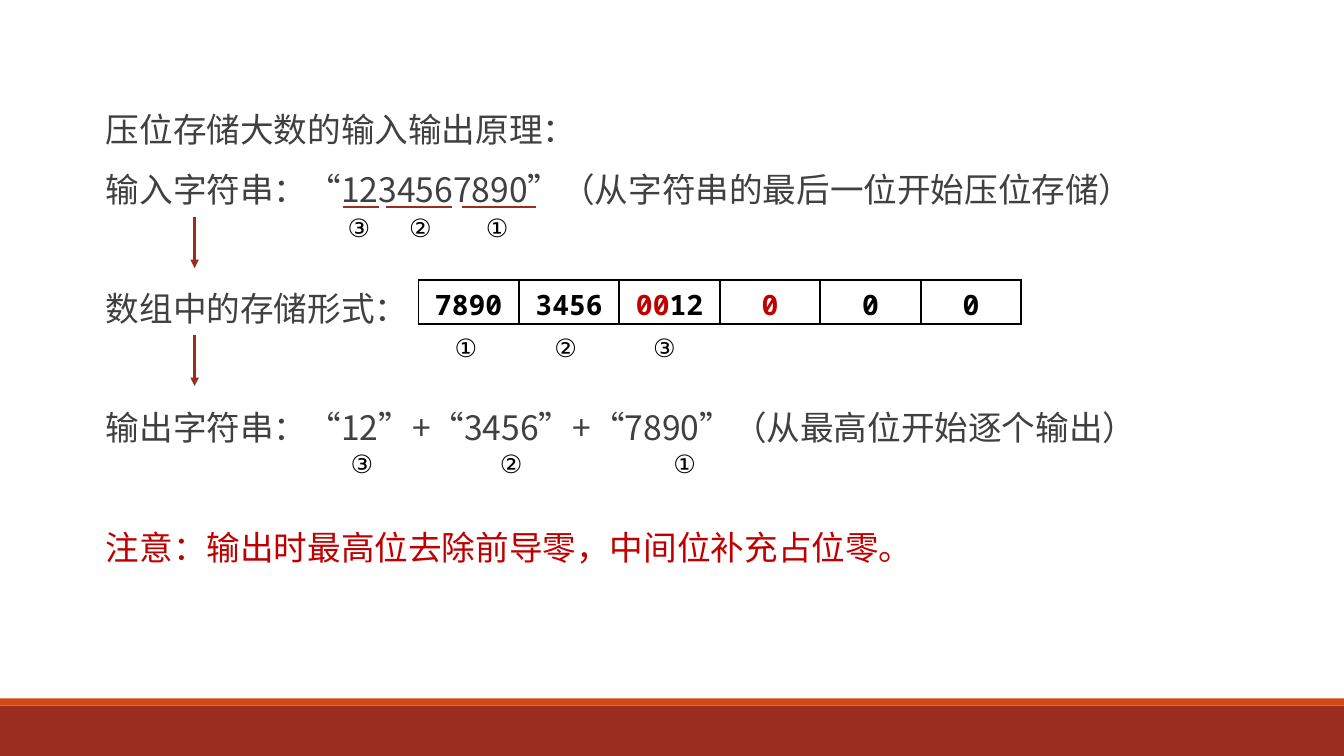
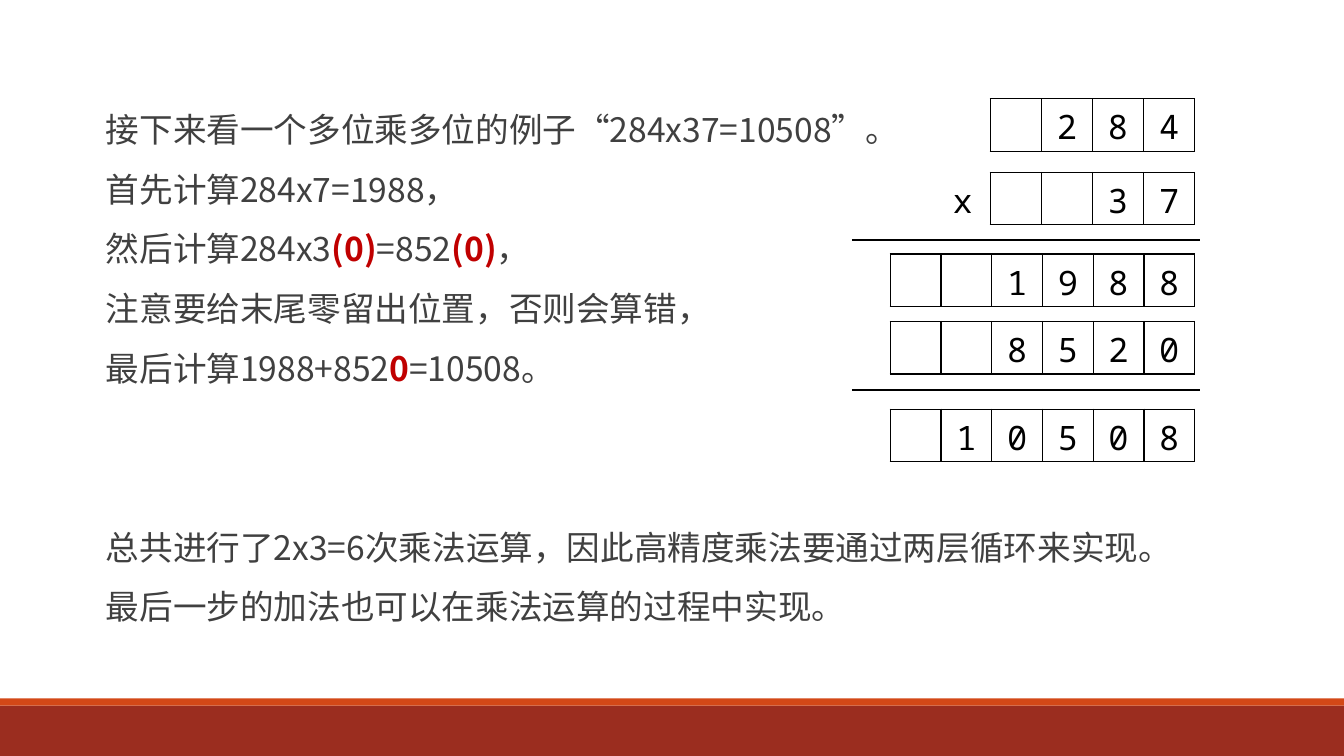
"""Build two slides on packed storage and long multiplication of big numbers."""
from lxml import etree
from pptx import Presentation
from pptx import util as u
from pptx.dml.color import RGBColor
from pptx.enum import lang, shapes, text
from pptx.oxml import ns

BRICK = RGBColor(0x9B, 0x2D, 0x1F)
RUST = RGBColor(0xD3, 0x48, 0x17)
GREY = RGBColor(0x40, 0x40, 0x40)
RED = RGBColor(0xC0, 0x00, 0x00)
BLACK = RGBColor(0, 0, 0)
WHITE = RGBColor(0xFF, 0xFF, 0xFF)
SANS = "Noto Sans CJK SC"
MONO = "Noto Sans Mono"
WIDE, HIGH = 13.33, 7.5
LINE, ABOVE, BELOW = 34.6, 6, 2
BODY = (0.85, 0.95, 11.63, 5.38)


def place(*spots):
    """Turn numbers into lengths in inches."""
    return [u.Inches(spot) for spot in spots]


def sub(node, tag, **attrs):
    """Add a child element with the given attributes."""
    child = etree.SubElement(node, ns.qn(tag))
    for key, val in attrs.items():
        child.set(key, val)
    return child


def write(para, words, size=24, font=MONO, color=BLACK, bold=False,
          strong=False, align=None):
    """Fill a paragraph; parts between bars turn red, and bold if strong."""
    para.alignment = align
    for num, part in enumerate(words.split("|")):
        if not part:
            continue
        hot = num % 2 == 1
        run = para.add_run()
        run.text = part
        face = run.font
        face.size, face.name = u.Pt(size), font
        face.bold = bold or (hot and strong)
        face.color.rgb = RED if hot else color
        face.language_id = lang.MSO_LANGUAGE_ID.SIMPLIFIED_CHINESE
        sub(face._element, "a:ea", typeface=font)


def bands(slide):
    """Draw the two bands along the foot of the slide."""
    for top, tall, color in ((7, 0.5, BRICK), (6.93, 0.07, RUST)):
        band = slide.shapes.add_shape(shapes.MSO_SHAPE.RECTANGLE,
                                      *place(0, top, WIDE, tall))
        band.shadow.inherit = False
        band.fill.solid()
        band.fill.fore_color.rgb = color
        band.line.fill.background()


def body(slide, box, lines, strong=False):
    """Set (rows to skip, words) pairs as paragraphs in a box."""
    frame = slide.shapes.add_textbox(*place(*box)).text_frame
    frame.word_wrap = True
    frame.margin_left = u.Inches(0.2)
    for num, (skip, words) in enumerate(lines):
        para = frame.add_paragraph() if num else frame.paragraphs[0]
        para.line_spacing = u.Pt(LINE)
        gap = ABOVE + skip * (LINE + ABOVE + BELOW)
        para.space_before = u.Pt(gap if num else 0)
        para.space_after = u.Pt(BELOW)
        write(para, words, font=SANS, color=GREY, strong=strong,
              align=text.PP_ALIGN.JUSTIFY)


def label(slide, box, words, size=18):
    """Place a short label that does not wrap."""
    frame = slide.shapes.add_textbox(*place(*box)).text_frame
    frame.word_wrap = False
    write(frame.paragraphs[0], words, size)


def rule(slide, start, end, color, width=1.5, arrow=False):
    """Draw a straight line, with an arrowhead if asked."""
    line = slide.shapes.add_connector(shapes.MSO_CONNECTOR.STRAIGHT,
                                      *place(*start, *end))
    line.line.color.rgb = color
    line.line.width = u.Pt(width)
    if arrow:
        sub(line.line._get_or_add_ln(), "a:tailEnd", type="triangle")
    sub(line._element.spPr, "a:effectLst")


def edge(cell, width):
    """Give a cell black borders on its four sides."""
    props = cell._tc.get_or_add_tcPr()
    for num, side in enumerate("LRTB"):
        line = etree.Element(ns.qn("a:ln" + side), w=str(u.Pt(width)))
        sub(sub(line, "a:solidFill"), "a:srgbClr", val=str(BLACK))
        props.insert(num, line)


def cells(slide, box, words, size=24, bold=False, width=1, foot=0.05,
          fill=None):
    """Draw a row of equal bordered cells across a box."""
    left, top, wide, tall = box
    grid = slide.shapes.add_table(1, len(words),
                                  *place(left, top, wide, tall)).table
    grid.first_row = grid.horz_banding = False
    for num, word in enumerate(words):
        grid.columns[num].width = u.Inches(wide / len(words))
        cell = grid.cell(0, num)
        cell.vertical_anchor = text.MSO_ANCHOR.MIDDLE
        cell.margin_bottom = u.Inches(foot)
        if fill is None:
            cell.fill.background()
        else:
            cell.fill.solid()
            cell.fill.fore_color.rgb = fill
        edge(cell, width)
        write(cell.text_frame.paragraphs[0], word.strip(), size, bold=bold,
              align=text.PP_ALIGN.CENTER)


def store(slide, box):
    """Show how a digit string is packed, stored and put out."""
    left, top = box[:2]
    body(slide, box, [
        (0, "压位存储大数的输入输出原理："),
        (0, "输入字符串：“1234567890”（从字符串的最后一位开始压位存储）"),
        (1, "数组中的存储形式："),
        (1, "输出字符串：“12”+“3456”+“7890”（从最高位开始逐个输出）"),
        (1, "|注意：输出时最高位去除前导零，中间位补充占位零。|"),
    ])
    cells(slide, (left + 3.3, top + 1.83, 5.98, 0.43),
          ["7890", "3456", "|00|12", "|0|", "0", "0"],
          size=20, bold=True, width=1.5, fill=WHITE)
    for start, end in ((3.73, 4.47), (2.98, 3.63), (2.55, 2.91)):
        rule(slide, (left + start, top + 1.1), (left + end, top + 1.1), BRICK)
    marks = ((1.11, (3.87, 3.11, 2.5)), (2.3, (3.56, 4.55, 5.53)),
             (3.45, (5.73, 4.01, 2.53)))
    for down, spots in marks:
        for mark, over in zip("①②③", spots):
            label(slide, (left + over, top + down, 0.45, 0.4), mark)
    for down in (1.2, 2.37):
        rule(slide, (left + 1.08, top + down), (left + 1.08, top + down + 0.51),
             BRICK, 2, arrow=True)


def sums(slide, box):
    """Lay out a long multiplication, its digits aligned at the right."""
    left, top, wide = box[:3]
    right = left + wide - 0.05
    for down, digits, span, foot in (
            (0, " 284", 2.03, 0.05), (0.73, "  37", 2.03, 0.05),
            (1.54, "  1988", 3.02, 0.02), (2.21, "  8520", 3.02, 0.02),
            (3.08, " 10508", 3.02, 0.02)):
        cells(slide, (right - span, top + down, span, 0.52), digits, foot=foot)
    for down in (1.4, 2.89):
        rule(slide, (left, top + down), (left + wide, top + down), BLACK)
    label(slide, (left + 0.9, top + 0.76, 0.39, 0.5), "x", 24)


def times(slide, box):
    """Explain a product of two numbers beside its working."""
    body(slide, box, [
        (0, "接下来看一个多位乘多位的例子“284x37=10508”。"),
        (0, "首先计算284x7=1988，"),
        (0, "然后计算284x3|(0)|=852|(0)|，"),
        (0, "注意要给末尾零留出位置，否则会算错，"),
        (0, "最后计算1988+852|0|=10508。"),
        (2, "总共进行了2x3=6次乘法运算，因此高精度乘法要通过两层循环来实现。"),
        (0, "最后一步的加法也可以在乘法运算的过程中实现。"),
    ], strong=True)
    sums(slide, (8.45, 0.98, 3.45, 3.6))


def main():
    """Build and save the slides."""
    deck = Presentation()
    deck.slide_width, deck.slide_height = place(WIDE, HIGH)
    for draw in (store, times):
        slide = deck.slides.add_slide(deck.slide_layouts[6])
        bands(slide)
        draw(slide, BODY)
    deck.save("out.pptx")


if __name__ == "__main__":
    main()
